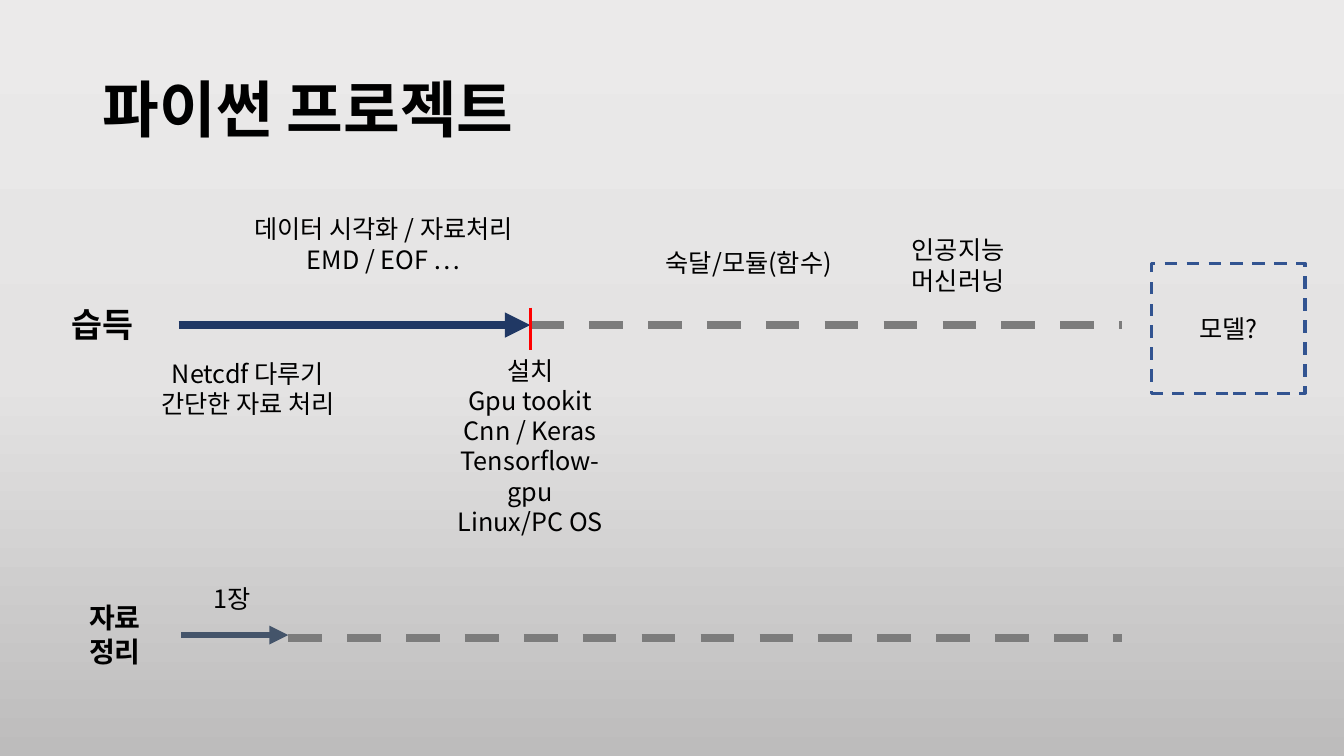
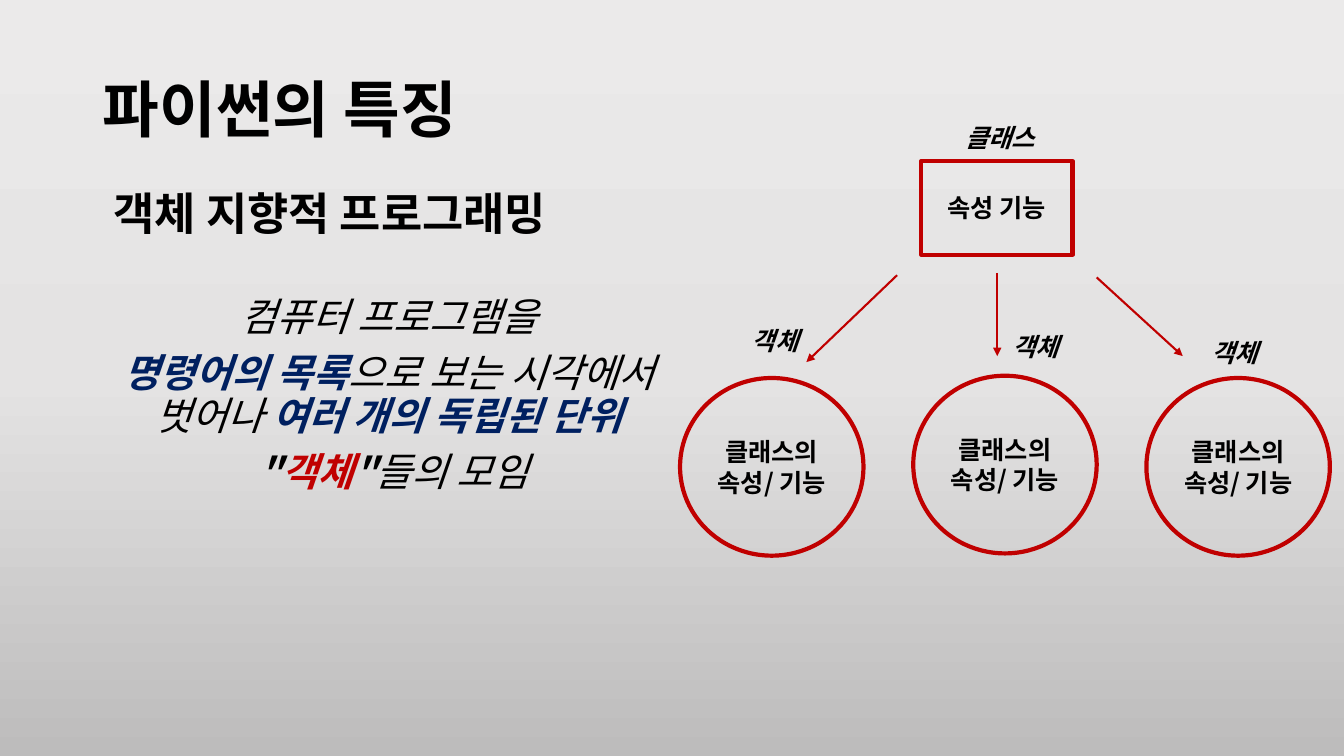
"""Builds two slides on learning Python: a project timeline and the class diagram."""
import copy

import lxml.etree
import pptx
import pptx.dml.color
import pptx.enum.dml
import pptx.enum.shapes
import pptx.enum.text
import pptx.oxml.ns
import pptx.util

RGB = pptx.dml.color.RGBColor
ALIGN = pptx.enum.text.PP_ALIGN
ANCHOR = pptx.enum.text.MSO_ANCHOR
SHAPE = pptx.enum.shapes.MSO_SHAPE
DASH = pptx.enum.dml.MSO_LINE.DASH

FONT = "Noto Sans CJK KR"
BLACK = RGB(0x00, 0x00, 0x00)
NAVY = RGB(0x20, 0x38, 0x64)
INK_BLUE = RGB(0x00, 0x20, 0x60)
FRAME_BLUE = RGB(0x32, 0x54, 0x91)
SLATE = RGB(0x44, 0x54, 0x6A)
GRAY = RGB(0x7C, 0x7C, 0x7C)
RED = RGB(0xFF, 0x00, 0x00)
DARK_RED = RGB(0xC0, 0x00, 0x00)
BACKGROUND = [RGB(0xEB, 0xEA, 0xEA), RGB(0xE4, 0xE3, 0xE3), RGB(0xBD, 0xBC, 0xBC)]

WIDTH, HEIGHT = pptx.util.Inches(13.33), pptx.util.Inches(7.5)
TITLE_AREA = (6.9, 5.3, 86.2, 19.3)


def x(share):
    """Return a horizontal length from a percentage of the slide width."""
    return int(WIDTH * share / 100)


def y(share):
    """Return a vertical length from a percentage of the slide height."""
    return int(HEIGHT * share / 100)


def to_emu(area):
    """Return left, top, width and height from percentages of the slide."""
    left, top, width, height = area
    return x(left), y(top), x(width), y(height)


def add_child(parent, tag, **attributes):
    """Append a DrawingML element to its parent."""
    lxml.etree.SubElement(parent, pptx.oxml.ns.qn(tag), attributes)


def add_run(p, text, size=18, bold=False, italic=False, color=BLACK):
    """Append a formatted run to a paragraph."""
    r = p.add_run()
    r.text = text
    r.font.size = pptx.util.Pt(size)
    r.font.bold = bold
    r.font.italic = italic
    r.font.color.rgb = color
    r.font.name = FONT
    add_child(r.font._element, "a:ea", typeface=FONT)


def add_paragraph(tf, *runs, align=ALIGN.LEFT, spacing=1.0, before=0, **font):
    """Append a paragraph of strings or (text, format) pairs to a text frame."""
    p = tf.paragraphs[0]
    if p.runs:
        p = tf.add_paragraph()
    p.alignment = align
    p.line_spacing = spacing
    p.space_before = pptx.util.Pt(before)
    for run in runs:
        text, changes = (run, {}) if isinstance(run, str) else run
        add_run(p, text, **{**font, **changes})


def write(tf, text, anchor=ANCHOR.TOP, **style):
    """Fill a wrapping text frame, one paragraph for each line of text."""
    tf.word_wrap = True
    tf.vertical_anchor = anchor
    for line in text.split("\n"):
        add_paragraph(tf, line, **style)


def add_text(s, area, text, **style):
    """Add a text box."""
    write(s.shapes.add_textbox(*to_emu(area)).text_frame, text, **style)


def add_outline(s, kind, area, text, color, weight, dash=None, **font):
    """Add an unfilled shape with centred text."""
    sp = s.shapes.add_shape(kind, *to_emu(area))
    sp.shadow.inherit = False
    sp.fill.background()
    sp.line.color.rgb = color
    sp.line.width = pptx.util.Pt(weight)
    sp.line.dash_style = dash
    write(sp.text_frame, text, anchor=ANCHOR.MIDDLE, align=ALIGN.CENTER, **font)


def add_line(s, start, end, color, weight, dash=None, arrow=False):
    """Add a straight line between two points, with an optional arrowhead."""
    (x1, y1), (x2, y2) = start, end
    sp = s.shapes.add_connector(
        pptx.enum.shapes.MSO_CONNECTOR.STRAIGHT, x(x1), y(y1), x(x2), y(y2))
    sp.line.color.rgb = color
    sp.line.width = pptx.util.Pt(weight)
    sp.line.dash_style = dash
    if arrow:
        add_child(sp.line._get_or_add_ln(), "a:tailEnd", type="triangle")
    add_child(sp._element.spPr, "a:effectLst")


def set_background(master):
    """Give the master a vertical three-stop gradient."""
    fill = master.background.fill
    fill.gradient()
    fill.gradient_angle = 270
    stops = master.element.xpath(".//p:bg//a:gsLst")[0]
    stops.append(copy.deepcopy(stops[-1]))
    for stop, color, position in zip(fill.gradient_stops, BACKGROUND, (0, 0.5, 1)):
        stop.color.rgb = color
        stop.position = position


def add_slide(prs, title):
    """Add a title-only slide with a formatted title."""
    s = prs.slides.add_slide(prs.slide_layouts[5])
    sp = s.shapes.title
    sp.left, sp.top, sp.width, sp.height = to_emu(TITLE_AREA)
    write(sp.text_frame, title, anchor=ANCHOR.MIDDLE, size=44, bold=True, spacing=0.9)
    return s


def add_track(s, level, dash_level, start, done, color, weight):
    """Add a timeline: an arrow for finished work, then dashes for the rest."""
    add_line(s, (start, level), (done, level), color, weight, arrow=True)
    add_line(s, (done, dash_level), (83.5, dash_level), GRAY, 6, dash=DASH)


def add_project_slide(prs):
    """Add the timeline of the Python project."""
    s = add_slide(prs, "파이썬 프로젝트")
    today = 39.45
    add_track(s, 43, 43, 13.3, today, NAVY, 6)
    add_track(s, 84, 84.4, 13.5, 21.45, SLATE, 4.5)
    add_line(s, (today, 40.7), (today, 46.3), RED, 2.25)

    add_text(s, (4.6, 39.5, 7, 6.7), "습득", size=24, bold=True)
    add_text(s, (5.9, 78.8, 5.8, 10.3), "자료정리", size=20, bold=True)
    add_text(s, (67.1, 30.4, 9.9, 9.5), "인공지능\n머신러닝")
    add_text(s, (48.8, 32.1, 14.6, 9.5), "숙달/모듈(함수)")
    add_text(s, (15.15, 76.5, 6, 5.3), "1장")
    for area, text in (
        ((17.5, 27.6, 22.1, 13.5), "데이터 시각화 / 자료처리\nEMD / EOF …"),
        ((7.4, 46.7, 22.1, 9.5), "Netcdf 다루기\n간단한 자료 처리"),
        ((32, 46.3, 14.9, 21.6),
         "설치\nGpu tookit\nCnn / Keras\nTensorflow-gpu\nLinux/PC OS"),
    ):
        add_text(s, area, text, align=ALIGN.CENTER)
    add_outline(s, SHAPE.RECTANGLE, (85.7, 34.8, 11.4, 17.2), "모델?",
                FRAME_BLUE, 2.25, dash=DASH)


def add_definition(s):
    """Add the definition of object-oriented programming."""
    tf = s.shapes.add_textbox(*to_emu((7.7, 24.7, 42.5, 68.1))).text_frame
    write(tf, "객체 지향적 프로그래밍", size=32, bold=True, spacing=0.9)
    key = {"bold": True, "color": INK_BLUE}
    quote = {"bold": True}
    body = {"align": ALIGN.CENTER, "spacing": 0.9, "size": 28, "italic": True}
    add_paragraph(tf, "컴퓨터 프로그램을", before=41, **body)
    add_paragraph(tf, ("명령어의 목록", key), "으로 보는 시각에서 벗어나 ",
                  ("여러 개의 독립된 단위", key), before=10, **body)
    add_paragraph(tf, " ", ('"', quote), ("객체", {"bold": True, "color": DARK_RED}),
                  ('"', quote), "들의 모임", before=10, **body)


def add_features_slide(prs):
    """Add the definition beside a class with its three objects."""
    s = add_slide(prs, "파이썬의 특징")
    add_definition(s)
    label = {"bold": True, "italic": True}
    add_text(s, (71.1, 15.5, 7.5, 5.3), "클래스", **label)
    add_outline(s, SHAPE.RECTANGLE, (68.55, 21.3, 11.25, 12.4), "속성 기능",
                DARK_RED, 3, bold=True)
    objects = (
        (50, (66.75, 36.4), (60, 47.9), (55.2, 42.4)),
        (49.7, (74.2, 36.1), (74.2, 47.1), (74.6, 43.2)),
        (50, (81.6, 36.7), (88, 47.1), (89.4, 44)),
    )
    for i, (top, start, end, corner) in enumerate(objects):
        add_outline(s, SHAPE.OVAL, (50.6 + 17.35 * i, top, 13.65, 23.5),
                    "클래스의 속성/ 기능", DARK_RED, 3, bold=True)
        add_line(s, start, end, DARK_RED, 1.5, arrow=True)
        add_text(s, (*corner, 7.5, 5.3), "객체", **label)


def main():
    """Build and save the presentation."""
    prs = pptx.Presentation()
    prs.slide_width, prs.slide_height = WIDTH, HEIGHT
    set_background(prs.slide_master)
    add_project_slide(prs)
    add_features_slide(prs)
    prs.save("out.pptx")


if __name__ == "__main__":
    main()
